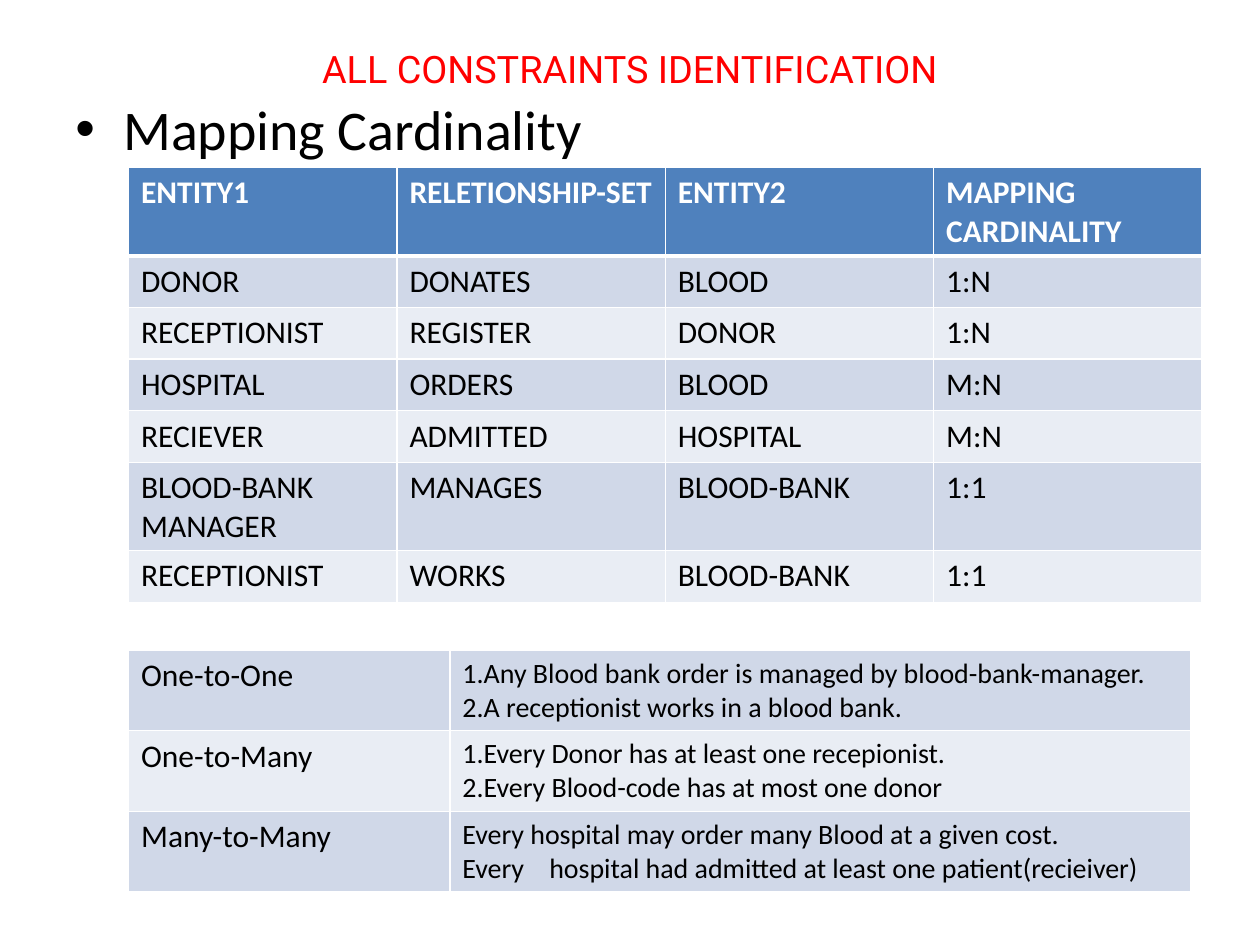
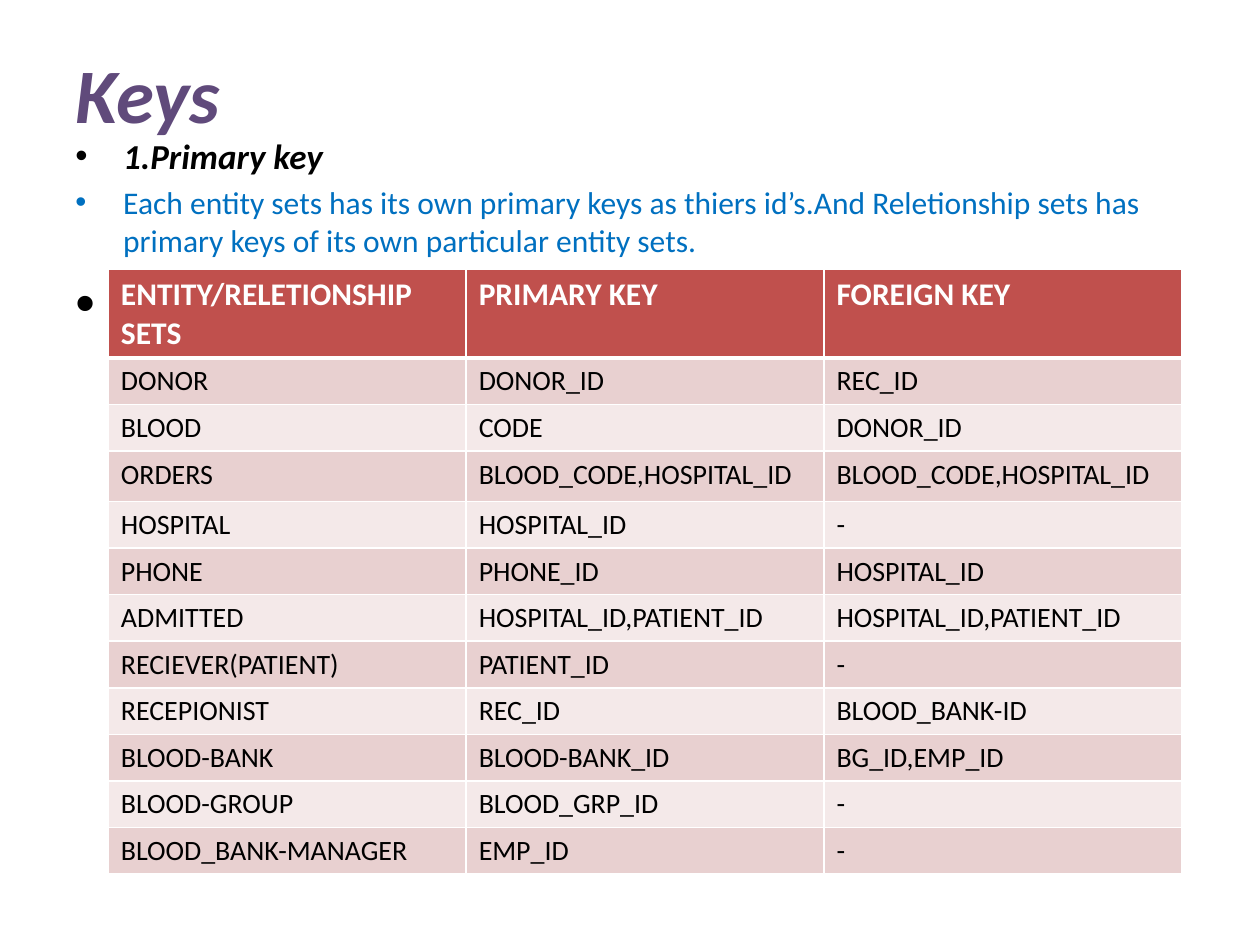
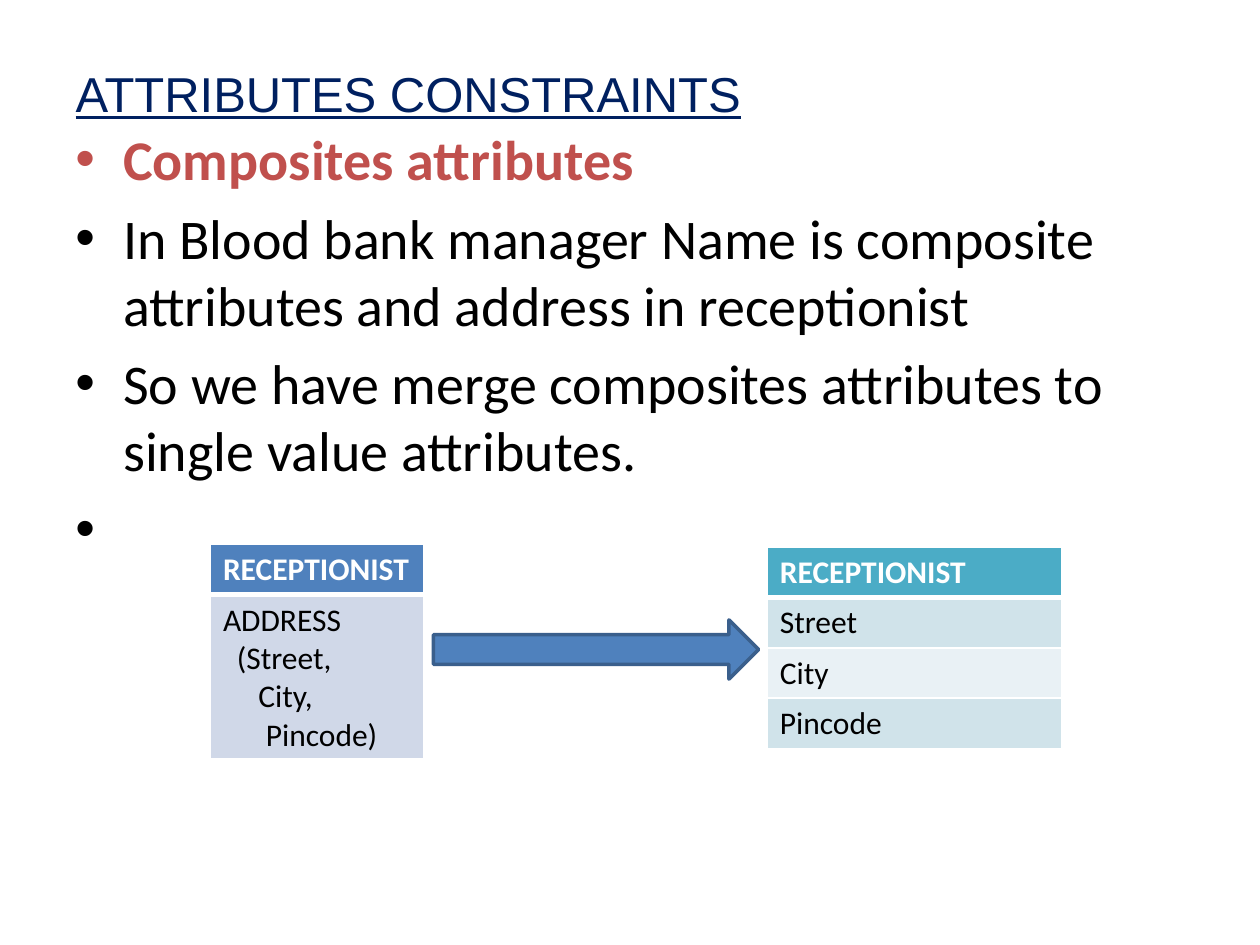
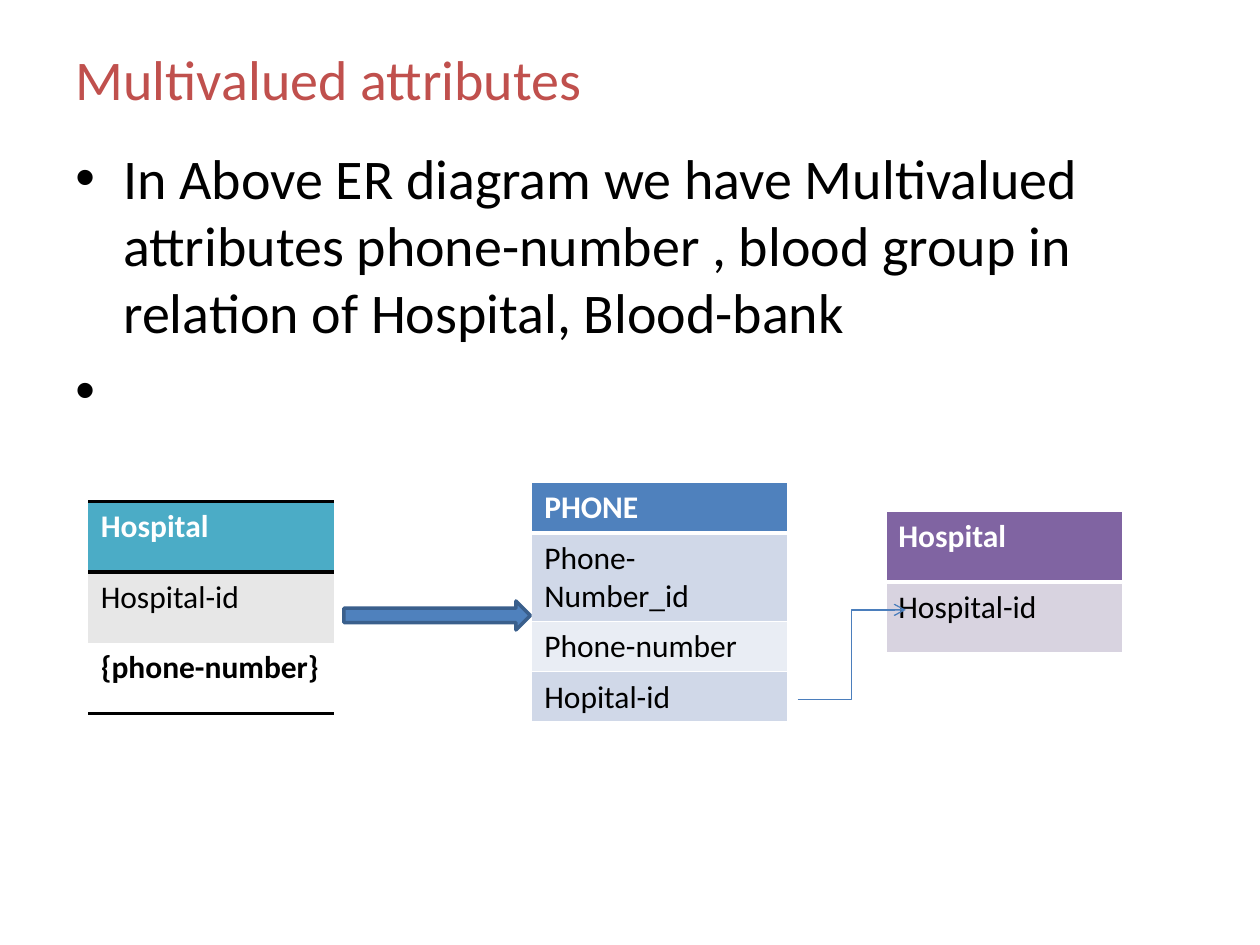
from collections import namedtuple

from lxml.etree import SubElement
from pptx import Presentation
from pptx.dml.color import RGBColor
from pptx.enum.shapes import MSO_CONNECTOR, MSO_SHAPE
from pptx.enum.text import MSO_ANCHOR, MSO_AUTO_SIZE, PP_ALIGN
from pptx.oxml.ns import qn
from pptx.util import Inches, Pt

BLACK = RGBColor(0x00, 0x00, 0x00)
WHITE = RGBColor(0xFF, 0xFF, 0xFF)
BRIGHT_RED = RGBColor(0xFF, 0x00, 0x00)
BRICK = RGBColor(0xC0, 0x50, 0x4D)
PLUM = RGBColor(0x60, 0x4A, 0x7B)
NAVY = RGBColor(0x00, 0x20, 0x60)
SKY = RGBColor(0x00, 0x70, 0xC0)
BLUE = RGBColor(0x4F, 0x81, 0xBD)
EDGE_BLUE = RGBColor(0x3A, 0x5F, 0x8C)
LINK_BLUE = RGBColor(0x4B, 0x7E, 0xBC)
TEAL = RGBColor(0x4B, 0xAC, 0xC6)
PURPLE = RGBColor(0x80, 0x64, 0xA2)

# A table theme: header fill, then the two alternating fills of the body rows.
Theme = namedtuple("Theme", "header odd even")
BLUE_THEME = Theme(BLUE, RGBColor(0xD0, 0xD8, 0xE8), RGBColor(0xE9, 0xED, 0xF4))
RED_THEME = Theme(BRICK, RGBColor(0xE8, 0xD0, 0xD0), RGBColor(0xF4, 0xE9, 0xE9))
TEAL_THEME = Theme(TEAL, RGBColor(0xD0, 0xE3, 0xEA), RGBColor(0xE9, 0xF1, 0xF5))
PURPLE_THEME = Theme(PURPLE, RGBColor(0xD8, 0xD3, 0xE0), WHITE)
RULED_THEME = Theme(TEAL, RGBColor(0xE7, 0xE7, 0xE7), WHITE)

COLUMNS, ROWS = 100, 75
MARGIN, TITLE_TOP, CONTENT_WIDTH, BODY_BOTTOM = 5, 3, 90, 67
LINE_18, TWO_LINES_18 = 4.1, 7  # row heights that hold 18 pt text
LONE_BULLET = " "


class Deck:
    """Holds the shared style and the slide being built."""

    def __init__(self, font="Calibri"):
        """Start an empty 4:3 deck."""
        self.font = font
        self.presentation = Presentation()
        self.presentation.slide_width = Inches(10)
        self.presentation.slide_height = Inches(7.5)
        self.slide = None

    def x(self, columns):
        """Convert grid columns to a length."""
        return round(self.presentation.slide_width * columns / COLUMNS)

    def y(self, rows):
        """Convert grid rows to a length."""
        return round(self.presentation.slide_height * rows / ROWS)

    def box(self, left, top, width, height):
        """Convert a grid rectangle to lengths."""
        return self.x(left), self.y(top), self.x(width), self.y(height)

    def format_runs(self, paragraph, size, color=BLACK, font=None, **flags):
        """Format all runs of a paragraph; flags are bold, italic, underline."""
        for run in paragraph.runs:
            run.font.name = font or self.font
            run.font.size = Pt(size)
            run.font.color.rgb = color
            for flag, value in flags.items():
                setattr(run.font, flag, value)

    def title(self, text, height, size, color, align=PP_ALIGN.LEFT, **style):
        """Open a new slide and fill its title."""
        layout = self.presentation.slide_layouts[5]
        self.slide = self.presentation.slides.add_slide(layout)
        heading = self.slide.shapes.title
        heading.left, heading.top, heading.width, heading.height = self.box(
            MARGIN, TITLE_TOP, CONTENT_WIDTH, height)
        frame = heading.text_frame
        frame.text = text
        frame.auto_size = MSO_AUTO_SIZE.NONE
        frame.vertical_anchor = MSO_ANCHOR.MIDDLE
        frame.paragraphs[0].alignment = align
        self.format_runs(frame.paragraphs[0], size, color, **style)

    def bullets(self, top, *items):
        """Add bulleted paragraphs from (text, style) pairs."""
        body = self.slide.shapes.add_textbox(
            *self.box(MARGIN, top, CONTENT_WIDTH, BODY_BOTTOM - top))
        frame = body.text_frame
        frame.word_wrap = True
        frame.text = "\n".join(text for text, _ in items)
        for paragraph, (_, style) in zip(frame.paragraphs, items):
            self.format_runs(paragraph, **{"size": 32, **style})
            properties = paragraph._p.get_or_add_pPr()
            properties.set("marL", str(Inches(0.38)))
            properties.set("indent", str(-Inches(0.38)))
            before = SubElement(properties, qn("a:spcBef"))
            SubElement(before, qn("a:spcPct"), val="20000")
            SubElement(properties, qn("a:buFont"), typeface="Arial")
            SubElement(properties, qn("a:buChar"), char="\u2022")

    def borders(self, cell, color=WHITE, left=1, right=1, top=1, bottom=1):
        """Set the four border widths of a cell; zero hides a border."""
        properties = cell._tc.get_or_add_tcPr()
        sides = (("L", left), ("R", right), ("T", top), ("B", bottom))
        for position, (side, width) in enumerate(sides):
            line = SubElement(properties, qn(f"a:ln{side}"), w=str(Pt(width)))
            if width:
                fill = SubElement(line, qn("a:solidFill"))
                SubElement(fill, qn("a:srgbClr"), val=str(color))
            else:
                SubElement(line, qn("a:noFill"))
            properties.insert(position, line)

    def table(self, left, top, widths, heights, rows, theme,
              sizes=None, header=True, ruled=False):
        """Add a banded table; sizes gives the body text size per column."""
        sizes = sizes or [18] * len(widths)
        grid = self.slide.shapes.add_table(
            len(rows), len(widths),
            *self.box(left, top, sum(widths), sum(heights))).table
        grid.first_row = header
        grid.horz_banding = False
        for column, width in zip(grid.columns, widths):
            column.width = self.x(width)
        for number, (row, height, texts) in enumerate(zip(grid.rows, heights, rows)):
            row.height = self.y(height)
            is_header = header and number == 0
            band = (number - header) % 2
            is_last = number == len(rows) - 1
            for cell, text, size in zip(row.cells, texts, sizes):
                cell.text_frame.text = text
                cell.fill.solid()
                cell.fill.fore_color.rgb = theme.header if is_header else theme[1 + band]
                for paragraph in cell.text_frame.paragraphs:
                    self.format_runs(paragraph, 18 if is_header else size,
                                     WHITE if is_header else BLACK,
                                     bold=is_header or (ruled and is_last))
                if ruled:
                    self.borders(cell, BLACK, 0, 0, top=2 if number < 2 else 0,
                                 bottom=2 if is_header or is_last else 0)
                else:
                    self.borders(cell, top=3 if header and number == 1 else 1,
                                 bottom=3 if is_header else 1)
        return grid

    def block_arrow(self, left, top, width, height):
        """Add a filled arrow pointing right."""
        arrow = self.slide.shapes.add_shape(
            MSO_SHAPE.RIGHT_ARROW, *self.box(left, top, width, height))
        arrow.shadow.inherit = False
        arrow.fill.solid()
        arrow.fill.fore_color.rgb = BLUE
        arrow.line.color.rgb = EDGE_BLUE
        arrow.line.width = Pt(2)

    def elbow_arrow(self, start, end):
        """Add a bent connector with an open arrowhead at its end."""
        link = self.slide.shapes.add_connector(
            MSO_CONNECTOR.ELBOW, self.x(start[0]), self.y(start[1]),
            self.x(end[0]), self.y(end[1]))
        link.line.color.rgb = LINK_BLUE
        link.line.width = Pt(0.75)
        SubElement(link.line._get_or_add_ln(), qn("a:tailEnd"), type="arrow")
        SubElement(link._element.spPr, qn("a:effectLst"))


def mapping_slide(deck):
    """Mapping cardinality of each relationship."""
    deck.title("ALL CONSTRAINTS IDENTIFICATION", 4.8, 21.6, BRIGHT_RED,
               PP_ALIGN.CENTER, font="Roboto")
    deck.bullets(7, ("Mapping Cardinality", {}))
    relationships = [
        ("ENTITY1", "RELETIONSHIP-SET", "ENTITY2", "MAPPING CARDINALITY"),
        ("DONOR", "DONATES", "BLOOD", "1:N"),
        ("RECEPTIONIST", "REGISTER", "DONOR", "1:N"),
        ("HOSPITAL", "ORDERS", "BLOOD", "M:N"),
        ("RECIEVER", "ADMITTED", "HOSPITAL", "M:N"),
        ("BLOOD-BANK MANAGER", "MANAGES", "BLOOD-BANK", "1:1"),
        ("RECEPTIONIST", "WORKS", "BLOOD-BANK", "1:1"),
    ]
    heights = [TWO_LINES_18] + [LINE_18] * 4 + [TWO_LINES_18, LINE_18]
    deck.table(10.2, 13.3, [21.3] * 4, heights, relationships, BLUE_THEME)
    rules = [
        ("One-to-One", "1.Any Blood bank order is managed by blood-bank-manager.\n"
                       "2.A receptionist works in a blood bank."),
        ("One-to-Many", "1.Every Donor has at least one recepionist.\n"
                        "2.Every Blood-code has at most one donor"),
        ("Many-to-Many", "Every hospital may order many Blood at a given cost.\n"
                         "Every    hospital had admitted at least one patient(recieiver)"),
    ]
    deck.table(10.2, 51.6, [25.5, 58.8], [6.4] * 3, rules, BLUE_THEME,
               sizes=[18, 16], header=False)


def keys_slide(deck):
    """Primary and foreign keys of every set."""
    deck.title("Keys", 8.7, 44, PLUM, bold=True, italic=True)
    deck.bullets(
        10.2,
        ("1.Primary key", {"size": 20, "bold": True, "italic": True}),
        ("Each entity sets has its own primary keys as thiers id\u2019s.And "
         "Reletionship sets has primary keys of its own particular entity sets.",
         {"size": 18, "color": SKY}),
        (LONE_BULLET, {}))
    keys = [
        ("ENTITY/RELETIONSHIP SETS", "PRIMARY KEY", "FOREIGN KEY"),
        ("DONOR", "DONOR_ID", "REC_ID"),
        ("BLOOD", "CODE", "DONOR_ID"),
        ("ORDERS", "BLOOD_CODE,HOSPITAL_ID", "BLOOD_CODE,HOSPITAL_ID"),
        ("HOSPITAL", "HOSPITAL_ID", "-"),
        ("PHONE", "PHONE_ID", "HOSPITAL_ID"),
        ("ADMITTED", "HOSPITAL_ID,PATIENT_ID", "HOSPITAL_ID,PATIENT_ID"),
        ("RECIEVER(PATIENT)", "PATIENT_ID", "-"),
        ("RECEPIONIST", "REC_ID", "BLOOD_BANK-ID"),
        ("BLOOD-BANK", "BLOOD-BANK_ID", "BG_ID,EMP_ID"),
        ("BLOOD-GROUP", "BLOOD_GRP_ID", "-"),
        ("BLOOD_BANK-MANAGER", "EMP_ID", "-"),
    ]
    heights = [TWO_LINES_18] + [3.7] * 2 + [4] + [3.7] * 8
    deck.table(8.6, 21.4, [28.4] * 3, heights, keys, RED_THEME, sizes=[16] * 3)


def composite_slide(deck):
    """A composite attribute split into single values."""
    deck.title("ATTRIBUTES CONSTRAINTS", 8.7, 28, NAVY, font="Arial", underline=True)
    deck.bullets(
        9.4,
        ("Composites attributes", {"color": BRICK, "bold": True}),
        ("In Blood bank manager Name is composite attributes and address in "
         "receptionist", {}),
        ("So we have merge composites attributes to single value attributes.", {}),
        (LONE_BULLET, {}))
    deck.table(60.9, 43.4, [23.4], [4] * 4,
               [["RECEPTIONIST"], ["Street"], ["City"], ["Pincode"]], TEAL_THEME)
    composite = deck.table(
        16.7, 43.2, [16.9], [4, 13],
        [["RECEPTIONIST"], ["ADDRESS\n(Street,\nCity,\nPincode)"]], BLUE_THEME)
    address = composite.cell(1, 0).text_frame.paragraphs
    for paragraph, indent in zip(address, (0, 0.11, 0.28, 0.34)):
        paragraph._p.get_or_add_pPr().set("marL", str(Inches(indent)))
    deck.block_arrow(34.4, 49.2, 25.8, 4.7)


def multivalued_slide(deck):
    """A multivalued attribute moved to its own relation."""
    deck.title("Multivalued attributes", 6.4, 32, BRICK)
    deck.bullets(
        10.9,
        ("In Above ER diagram we have Multivalued attributes phone-number , "
         "blood group in relation of Hospital, Blood-bank", {}),
        (LONE_BULLET, {}))
    deck.table(42.2, 38.3, [20.3], [4, TWO_LINES_18, 4, 4],
               [["PHONE"], ["Phone-Number_id"], ["Phone-number"], ["Hopital-id"]],
               BLUE_THEME)
    deck.table(70.3, 40.6, [18.8], [5.6] * 2,
               [["Hospital"], ["Hospital-id"]], PURPLE_THEME)
    deck.elbow_arrow((63.3, 55.5), (71.9, 48.4))
    deck.table(7, 39.8, [19.5], [5.6] * 3,
               [["Hospital"], ["Hospital-id"], ["{phone-number}"]],
               RULED_THEME, ruled=True)
    deck.block_arrow(27.3, 47.7, 14.8, 2.3)


deck = Deck()
for build in (mapping_slide, keys_slide, composite_slide, multivalued_slide):
    build(deck)
deck.presentation.save("out.pptx")
